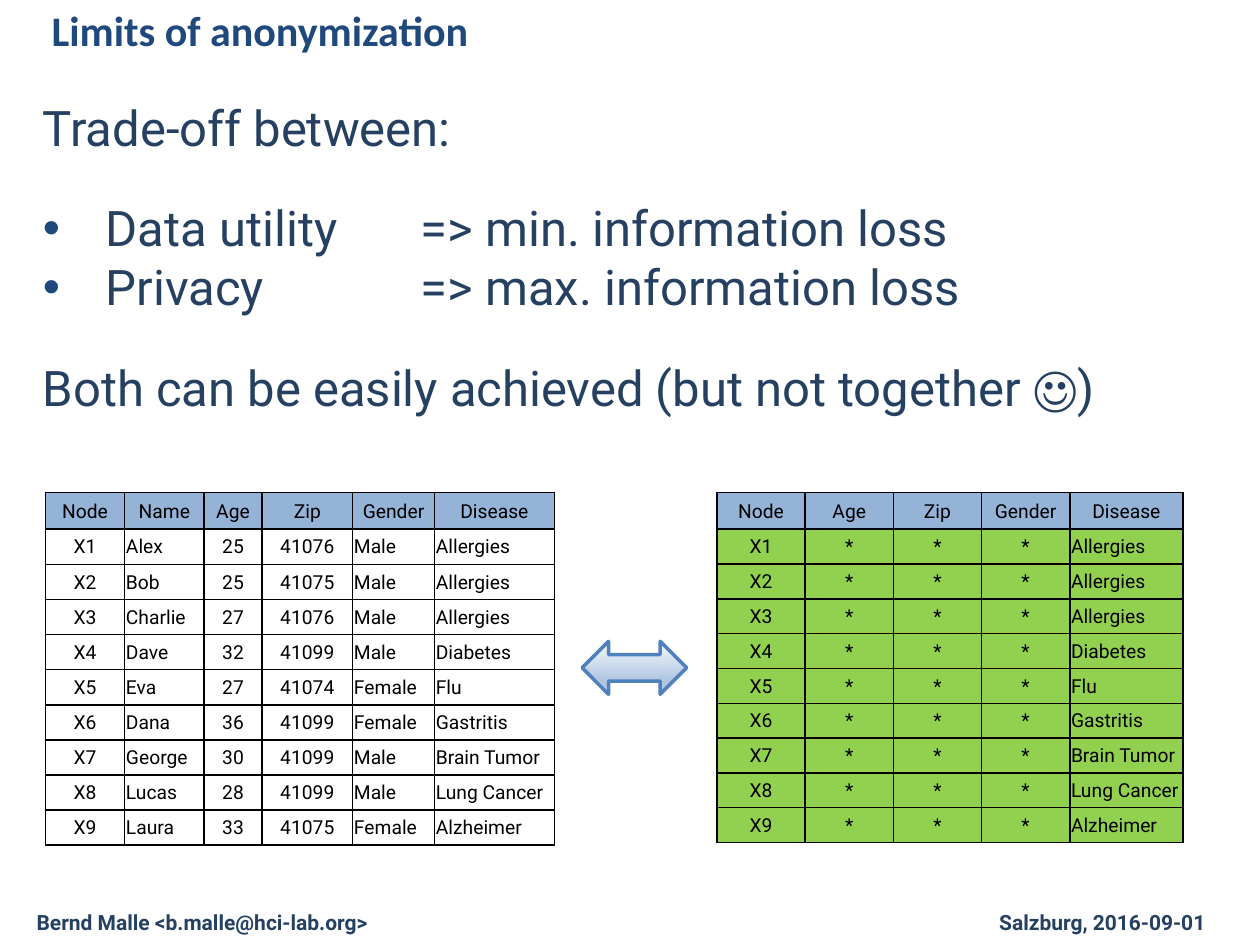
from lxml import etree
from pptx import Presentation, util as u
from pptx.dml.color import RGBColor
from pptx.enum import shapes, text
from pptx.oxml import ns

NAVY, BLUE, BLACK = "254061", "1F497D", "000000"
HEADER_FILL, MASKED_FILL = "95B3D7", "92D050"

RECORDS = [
    ("Node", "Name", "Age", "Zip", "Gender", "Disease"),
    ("X1", "Alex", "25", "41076", "Male", "Allergies"),
    ("X2", "Bob", "25", "41075", "Male", "Allergies"),
    ("X3", "Charlie", "27", "41076", "Male", "Allergies"),
    ("X4", "Dave", "32", "41099", "Male", "Diabetes"),
    ("X5", "Eva", "27", "41074", "Female", "Flu"),
    ("X6", "Dana", "36", "41099", "Female", "Gastritis"),
    ("X7", "George", "30", "41099", "Male", "Brain Tumor"),
    ("X8", "Lucas", "28", "41099", "Male", "Lung Cancer"),
    ("X9", "Laura", "33", "41075", "Female", "Alzheimer"),
]
ANONYMIZED = [("Node", "Age", "Zip", "Gender", "Disease")] + [
    (record[0], "*", "*", "*", record[-1]) for record in RECORDS[1:]
]
TRADE_OFF = [
    ("Trade-off between:", False, 0),
    ("Data utility \t=> min. information loss", True, 24),
    ("Privacy\t\t=> max. information loss", True, 0),
    ("Both can be easily achieved (but not together ☺)", False, 24),
]


def rgb(color):
    """Turn a hex string into a colour."""
    return RGBColor.from_string(color)


def inches(box):
    """Turn a box of numbers into lengths."""
    return [u.Inches(length) for length in box]


def set_values(target, values):
    """Set every attribute named in the dict."""
    for name, value in values.items():
        setattr(target, name, value)


def add_xml(parent, tag, children="", **attributes):
    """Append a drawing element with the given inner markup."""
    pairs = "".join(f' {name}="{value}"' for name, value in attributes.items())
    element = etree.fromstring(
        f'<a:{tag} xmlns:a="{ns.nsdecls("a").split(chr(34))[1]}"{pairs}>{children}</a:{tag}>'
    )
    parent.append(element)


def solid(color):
    """Return the markup of a plain colour."""
    return f'<a:srgbClr val="{color}"/>'


def set_font(owner, size, color, name="Roboto", bold=False):
    """Format the font of a paragraph."""
    set_values(owner.font, {"size": u.Pt(size), "name": name, "bold": bold})
    owner.font.color.rgb = rgb(color)


def set_frame(shape, inset, anchor):
    """Give a text shape its insets, wrapping and anchor."""
    margins = {f"margin_{side}": u.Inches(inset) for side in ("left", "right", "top", "bottom")}
    set_values(shape.text_frame, margins | {
        "word_wrap": True,
        "auto_size": text.MSO_AUTO_SIZE.NONE,
        "vertical_anchor": anchor,
    })


def place(shape, box):
    """Move a placeholder into its box."""
    set_values(shape, dict(zip(("left", "top", "width", "height"), inches(box))))


def fill_title(title, box):
    """Write the slide title."""
    place(title, box)
    title.text_frame.text = "Limits of anonymization"
    set_frame(title, 0.05, text.MSO_ANCHOR.MIDDLE)
    heading = title.text_frame.paragraphs[0]
    heading.alignment = text.PP_ALIGN.LEFT
    set_font(heading, 24, BLUE, "Calibri", True)


def fill_trade_off(body, box):
    """Write the trade-off statements and their bullets."""
    place(body, box)
    body.text_frame.text = "\n".join(line for line, _, _ in TRADE_OFF)
    set_frame(body, 0.05, text.MSO_ANCHOR.TOP)
    set_values(body.text_frame, {"margin_left": u.Inches(0.1), "margin_right": u.Inches(0.1)})
    for statement, (_, bulleted, gap) in zip(body.text_frame.paragraphs, TRADE_OFF):
        set_font(statement, 28, NAVY)
        set_values(statement, {"space_before": u.Pt(gap), "space_after": u.Pt(0)})
        properties = statement._p.get_or_add_pPr()
        indent = u.Inches(0.5) if bulleted else 0
        for name, value in {"marL": indent, "indent": -indent, "defTabSz": u.Inches(1)}.items():
            properties.set(name, str(int(value)))
        font_properties = properties.find(ns.qn("a:defRPr"))
        properties.remove(font_properties)
        if bulleted:
            add_xml(properties, "buClr", solid(BLUE))
            add_xml(properties, "buFont", typeface="Arial")
            add_xml(properties, "buChar", char="•")
        else:
            add_xml(properties, "buNone")
        properties.append(font_properties)
        for run in statement.runs:
            set_font(run, 28, NAVY)


def format_cell(cell, label, centred, fill):
    """Write one table cell with its borders and fill."""
    cell.text = label
    set_values(cell, {
        "margin_left": u.Inches(0.01),
        "margin_right": u.Inches(0.01),
        "margin_top": u.Inches(0.01),
        "margin_bottom": 0,
        "vertical_anchor": text.MSO_ANCHOR.MIDDLE,
    })
    entry = cell.text_frame.paragraphs[0]
    entry.alignment = text.PP_ALIGN.CENTER if centred else text.PP_ALIGN.LEFT
    set_font(entry.runs[0], 11, BLACK)
    for side in "LRTB":
        add_xml(cell._tc.get_or_add_tcPr(), f"ln{side}",
                f"<a:solidFill>{solid(BLACK)}</a:solidFill>", w=u.Pt(1))
    if fill:
        cell.fill.solid()
        cell.fill.fore_color.rgb = rgb(fill)
    else:
        cell.fill.background()


def add_records(slide, box, rows, widths, left_aligned, body_fill=None):
    """Add a table of records with a coloured header."""
    table = slide.shapes.add_table(len(rows), len(widths), *inches(box)).table
    set_values(table, {"first_row": False, "horz_banding": False})
    for column, width in zip(table.columns, widths):
        column.width = u.Inches(width)
    header_height = 0.29
    row_height = (box[3] - header_height) / (len(rows) - 1)
    for i, labels in enumerate(rows):
        table.rows[i].height = u.Inches(row_height if i else header_height)
        for j, label in enumerate(labels):
            centred = i == 0 or rows[0][j] not in left_aligned
            format_cell(table.cell(i, j), label, centred, body_fill if i else HEADER_FILL)


def add_exchange_arrow(slide, box):
    """Add the shaded double arrow between the tables."""
    arrow = slide.shapes.add_shape(shapes.MSO_SHAPE.LEFT_RIGHT_ARROW, *inches(box))
    arrow.shadow.inherit = False
    arrow.line.color.rgb = rgb("4F81BD")
    arrow.line.width = u.Pt(2)
    arrow.fill.gradient()
    arrow.fill.gradient_angle = 270
    stops = arrow._element.spPr.find(f".//{ns.qn('a:gsLst')}")
    stops.clear()
    for percent, color in ((0, "F6F9FC"), (74, "B0C6E1"), (83, "B0C6E1"), (100, "CAD9EB")):
        add_xml(stops, "gs", solid(color), pos=percent * 1000)


def add_footer(slide, box, label):
    """Add one footer text."""
    footer = slide.shapes.add_textbox(*inches(box))
    footer.text_frame.text = label
    set_frame(footer, 0.05, text.MSO_ANCHOR.TOP)
    set_font(footer.text_frame.paragraphs[0].runs[0], 12, NAVY, bold=True)


def main():
    """Build the slide and save it."""
    deck = Presentation()
    set_values(deck, {"slide_width": u.Inches(10), "slide_height": u.Inches(7.5)})
    slide = deck.slides.add_slide(deck.slide_layouts[1])
    fill_title(slide.shapes.title, (0.36, 0, 6.58, 0.47))
    fill_trade_off(slide.placeholders[1], (0.24, 0.72, 8.85, 2.66))
    add_records(slide, (0.36, 3.91, 4.03, 2.8), RECORDS,
                (0.63, 0.63, 0.46, 0.72, 0.65, 0.95), ("Name", "Gender", "Disease"))
    add_records(slide, (5.69, 3.91, 3.69, 2.78), ANONYMIZED,
                (0.7, 0.7, 0.7, 0.7, 0.9), ("Disease",), MASKED_FILL)
    add_exchange_arrow(slide, (4.62, 5.09, 0.83, 0.42))
    add_footer(slide, (0.24, 7.17, 3.02, 0.3), "Bernd Malle <b.malle@hci-lab.org>")
    add_footer(slide, (7.88, 7.17, 1.91, 0.3), "Salzburg, 2016-09-01")
    deck.save("out.pptx")


if __name__ == "__main__":
    main()
